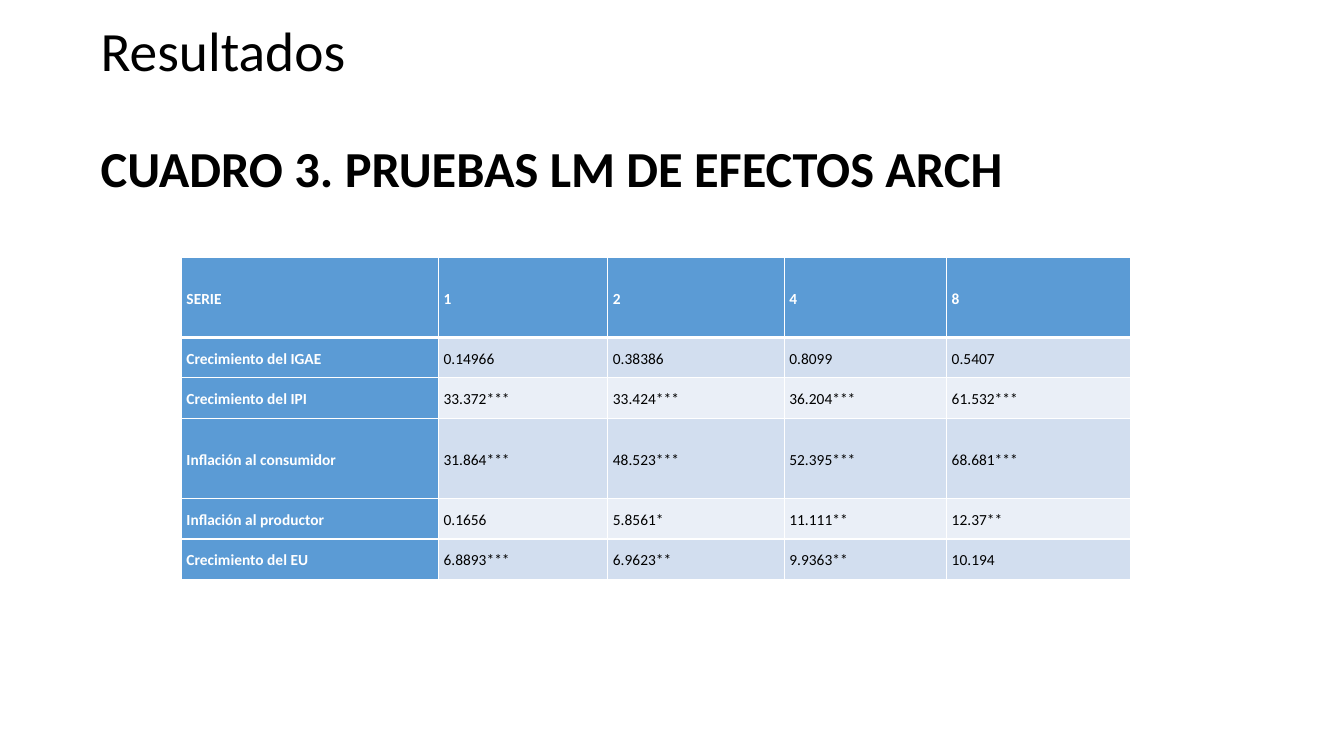
from lxml import etree
from pptx import Presentation
from pptx.dml.color import RGBColor
from pptx.enum.text import MSO_ANCHOR, PP_ALIGN
from pptx.oxml.ns import qn
from pptx.util import Inches, Pt

MID, TOP = MSO_ANCHOR.MIDDLE, MSO_ANCHOR.TOP
LEFT, JUST = PP_ALIGN.LEFT, PP_ALIGN.JUSTIFY
HUE = {"head": "5B9BD5", "odd": "D2DEEF", "even": "EAEFF7",
       "ink": "000000", "white": "FFFFFF"}

deck = Presentation()
deck.slide_width, deck.slide_height = Inches(13.33), Inches(7.5)
slide = deck.slides.add_slide(deck.slide_layouts[6])


def wide(share):
    return int(deck.slide_width * share / 100)


def high(share):
    return int(deck.slide_height * share / 100)


def write(par, text, size, hue="ink", bold=False, align=LEFT, line=0.9, gap=0):
    par.alignment, par.line_spacing = align, line
    par.space_before = Pt(gap)
    run = par.add_run()
    run.text = text
    font = run.font
    font.name, font.size, font.bold = "Calibri", Pt(size), bold
    font.color.rgb = RGBColor.from_string(HUE[hue])


title = slide.shapes.add_textbox(wide(6.75), high(2.53), wide(86.27), high(26))
frame = title.text_frame
frame.word_wrap, frame.vertical_anchor = True, TOP
write(frame.paragraphs[0], "Resultados", 39.6)
write(frame.add_paragraph(), "CUADRO 3. PRUEBAS LM DE EFECTOS ARCH", 36,
      bold=True, gap=43)

data = [
    ["SERIE", "1", "2", "4", "8"],
    ["Crecimiento del IGAE", "0.14966", "0.38386", "0.8099", "0.5407"],
    ["Crecimiento del IPI", "33.372***", "33.424***", "36.204***", "61.532***"],
    ["Inflación al consumidor", "31.864***", "48.523***", "52.395***", "68.681***"],
    ["Inflación al productor", "0.1656", "5.8561*", "11.111**", "12.37**"],
    ["Crecimiento del EU", "6.8893***", "6.9623**", "9.9363**", "10.194"],
]
cols = [19.13, 12.6, 13.13, 12.08, 13.65]
rows = [2, 1, 1, 2, 1, 1]
unit = 5.33

table = slide.shapes.add_table(
    len(rows), len(cols), wide(13.5), high(34),
    wide(sum(cols)), high(unit * sum(rows))).table
for col, share in zip(table.columns, cols):
    col.width = wide(share)
for row, span in zip(table.rows, rows):
    row.height = high(unit * span)

for r, series in enumerate(data):
    for c, text in enumerate(series):
        cell = table.cell(r, c)
        head = r == 0 or c == 0
        cell.vertical_anchor = MID
        cell.margin_left = cell.margin_right = Inches(0.05)
        cell.margin_top = cell.margin_bottom = 0
        write(cell.text_frame.paragraphs[0], text, 11, "white" if head else "ink",
              bold=head, align=JUST, line=1.15)
        props = cell._tc.get_or_add_tcPr()
        for side in "LRTB":
            thick = (r, side) in [(0, "B"), (1, "T")]
            edge = etree.SubElement(props, qn("a:ln" + side),
                                    w=str(Pt(3 if thick else 1)))
            fill = etree.SubElement(edge, qn("a:solidFill"))
            etree.SubElement(fill, qn("a:srgbClr"), val=HUE["white"])
        band = "head" if head else "odd" if r % 2 else "even"
        cell.fill.solid()
        cell.fill.fore_color.rgb = RGBColor.from_string(HUE[band])

deck.save("out.pptx")
